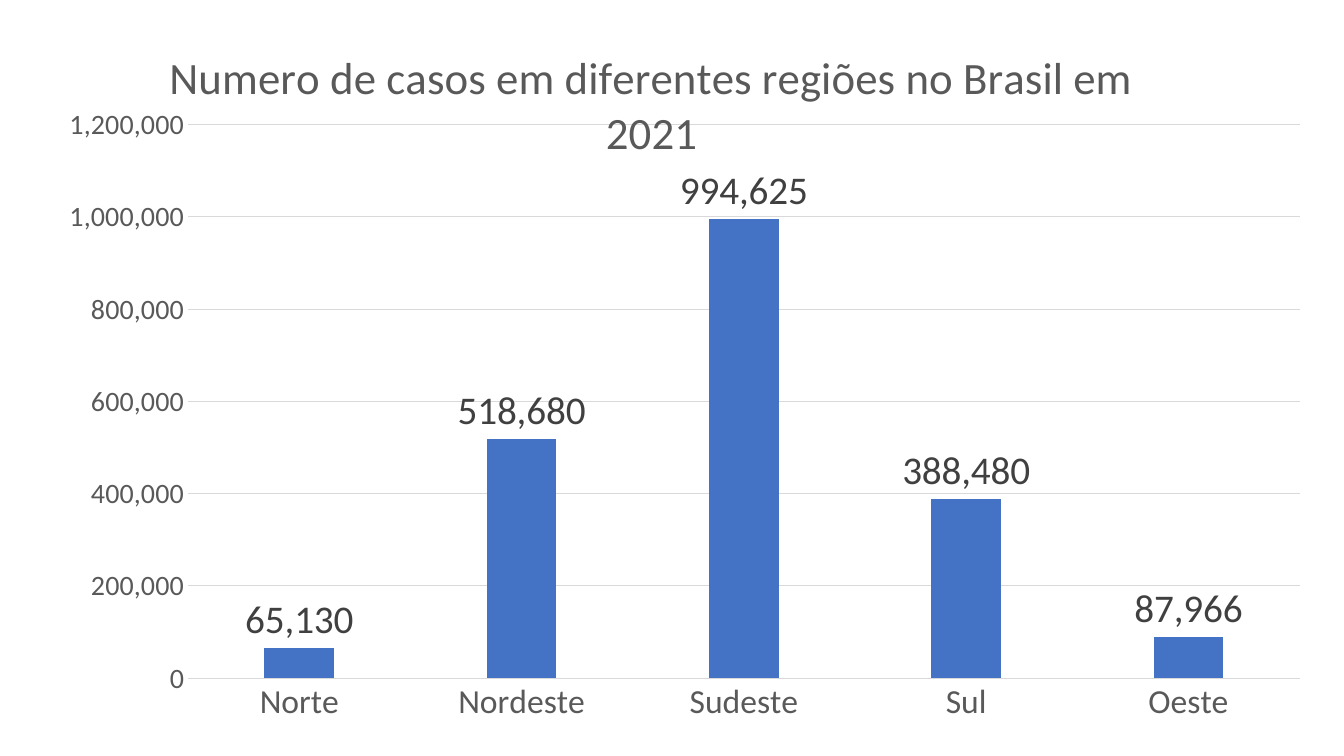
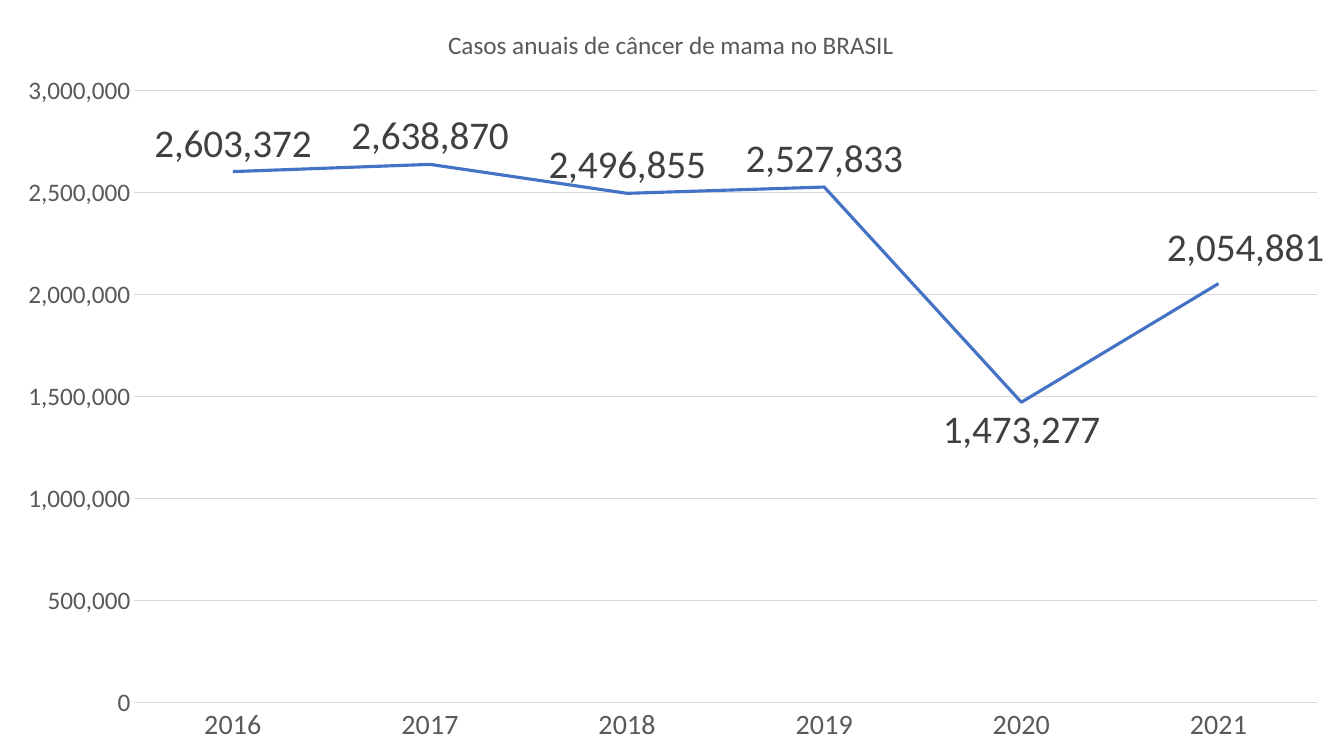
from dataclasses import dataclass

from lxml import etree
from pptx import Presentation
from pptx.chart.chart import Chart
from pptx.chart.data import CategoryChartData
from pptx.dml.color import RGBColor
from pptx.enum.chart import XL_CHART_TYPE, XL_LABEL_POSITION, XL_TICK_MARK
from pptx.oxml.ns import qn
from pptx.text.text import Font
from pptx.util import Cm, Pt

COLUMN = XL_CHART_TYPE.COLUMN_CLUSTERED
LINE = XL_CHART_TYPE.LINE
ABOVE = XL_LABEL_POSITION.ABOVE
BELOW = XL_LABEL_POSITION.BELOW
OUTSIDE_END = XL_LABEL_POSITION.OUTSIDE_END
NO_TICK = XL_TICK_MARK.NONE

SLIDE_WIDTH, SLIDE_HEIGHT = Cm(33.87), Cm(19.05)
FONT_NAME = "Calibri"
NUMBER_FORMAT = "#,##0"
SERIES_COLOR = "4472C4"
TEXT_COLOR = "595959"
LABEL_COLOR = "404040"
GRID_COLOR = "D9D9D9"
LABEL_SIZE = 28
BLANK_LAYOUT = 6


@dataclass(frozen=True)
class ChartSlide:
    """Content of one slide; places are fractions of the chart area."""

    title: str
    title_size: int
    title_place: dict[str, float]
    plot_place: dict[str, float]
    kind: XL_CHART_TYPE
    values: dict[str, int]
    category_size: int
    value_size: int
    label_position: XL_LABEL_POSITION


CASES_BY_REGION = ChartSlide(
    title="Numero de casos em diferentes regiões no Brasil em 2021",
    title_size=32,
    title_place={"x": 0.12, "y": 0.05},
    plot_place={"x": 0.14, "y": 0.165, "w": 0.827, "h": 0.732},
    kind=COLUMN,
    values={"Norte": 65130, "Nordeste": 518680, "Sudeste": 994625,
            "Sul": 388480, "Oeste": 87966},
    category_size=24,
    value_size=20,
    label_position=OUTSIDE_END,
)
CASES_BY_YEAR = ChartSlide(
    title="Casos anuais de câncer de mama no BRASIL",
    title_size=18,
    title_place={"x": 0.33, "y": 0.03},
    plot_place={"x": 0.1, "y": 0.12, "w": 0.88, "h": 0.81},
    kind=LINE,
    values={"2016": 2603372, "2017": 2638870, "2018": 2496855,
            "2019": 2527833, "2020": 1473277, "2021": 2054881},
    category_size=20,
    value_size=18,
    label_position=ABOVE,
)


def rgb(color: str) -> RGBColor:
    return RGBColor.from_string(color)


def style_font(font: Font, size: int, color: str) -> None:
    font.name = FONT_NAME
    font.size = Pt(size)
    font.bold = False
    font.color.rgb = rgb(color)


def set_layout(parent: etree._Element, index: int, place: dict[str, float],
               modes: dict[str, str]) -> None:
    """Give a chart part a manual layout, inserted at index if it has none."""
    layout = parent.find(qn("c:layout"))
    if layout is None:
        layout = etree.Element(qn("c:layout"))
        parent.insert(index, layout)
    manual = etree.SubElement(layout, qn("c:manualLayout"))
    for name, value in {**modes, **place}.items():
        etree.SubElement(manual, qn(f"c:{name}")).set("val", str(value))


def style_title(chart: Chart, content: ChartSlide) -> None:
    chart.has_title = True
    paragraph = chart.chart_title.text_frame.paragraphs[0]
    paragraph.text = content.title
    style_font(paragraph.font, content.title_size, TEXT_COLOR)
    title = chart.element.find(f".//{qn('c:title')}")
    set_layout(title, 1, content.title_place, {"xMode": "edge", "yMode": "edge"})


def style_axes(chart: Chart, content: ChartSlide) -> None:
    category_axis, value_axis = chart.category_axis, chart.value_axis
    for axis, size in ((category_axis, content.category_size),
                       (value_axis, content.value_size)):
        axis.major_tick_mark = axis.minor_tick_mark = NO_TICK
        style_font(axis.tick_labels.font, size, TEXT_COLOR)
    value_axis.tick_labels.number_format = NUMBER_FORMAT
    value_axis.tick_labels.number_format_is_linked = False
    value_axis.format.line.fill.background()
    value_axis.has_major_gridlines = True
    for line in (category_axis.format.line, value_axis.major_gridlines.format.line):
        line.color.rgb = rgb(GRID_COLOR)
        line.width = Pt(0.75)


def add_chart_slide(presentation: Presentation, content: ChartSlide) -> Chart:
    slide = presentation.slides.add_slide(presentation.slide_layouts[BLANK_LAYOUT])
    data = CategoryChartData(number_format=NUMBER_FORMAT)
    data.categories = list(content.values)
    data.add_series("Series 1", list(content.values.values()))
    chart = slide.shapes.add_chart(
        content.kind, 0, 0, SLIDE_WIDTH, SLIDE_HEIGHT, data).chart
    chart.font.name = FONT_NAME
    chart.font.size = Pt(10)
    chart.has_legend = False
    style_title(chart, content)
    style_axes(chart, content)
    plot_area = chart.element.find(f".//{qn('c:plotArea')}")
    set_layout(plot_area, 0, content.plot_place,
               {"layoutTarget": "inner", "xMode": "edge", "yMode": "edge"})

    chart.plots[0].vary_by_categories = False
    labels = chart.series[0].data_labels
    labels.show_value = True
    labels.number_format = NUMBER_FORMAT
    labels.number_format_is_linked = False
    labels.position = content.label_position
    style_font(labels.font, LABEL_SIZE, LABEL_COLOR)
    return chart


def style_columns(chart: Chart) -> None:
    plot = chart.plots[0]
    plot.gap_width = 219
    plot.overlap = -27
    fill = plot.series[0].format.fill
    fill.solid()
    fill.fore_color.rgb = rgb(SERIES_COLOR)


def style_line(chart: Chart) -> None:
    """Colour the line and move the labels of its last two points."""
    series = chart.series[0]
    series.smooth = False
    series.format.line.color.rgb = rgb(SERIES_COLOR)
    series.format.line.width = Pt(2.25)
    for point_index, position in ((4, BELOW), (5, ABOVE)):
        label = series.points[point_index].data_label
        style_font(label.font, LABEL_SIZE, LABEL_COLOR)
        label.position = position
    last_label = chart.element.findall(f".//{qn('c:dLbl')}")[-1]
    set_layout(last_label, 1, {"x": 0.02, "y": -0.01}, {})


def main() -> None:
    presentation = Presentation()
    presentation.slide_width = SLIDE_WIDTH
    presentation.slide_height = SLIDE_HEIGHT
    style_columns(add_chart_slide(presentation, CASES_BY_REGION))
    style_line(add_chart_slide(presentation, CASES_BY_YEAR))
    presentation.save("out.pptx")


if __name__ == "__main__":
    main()
